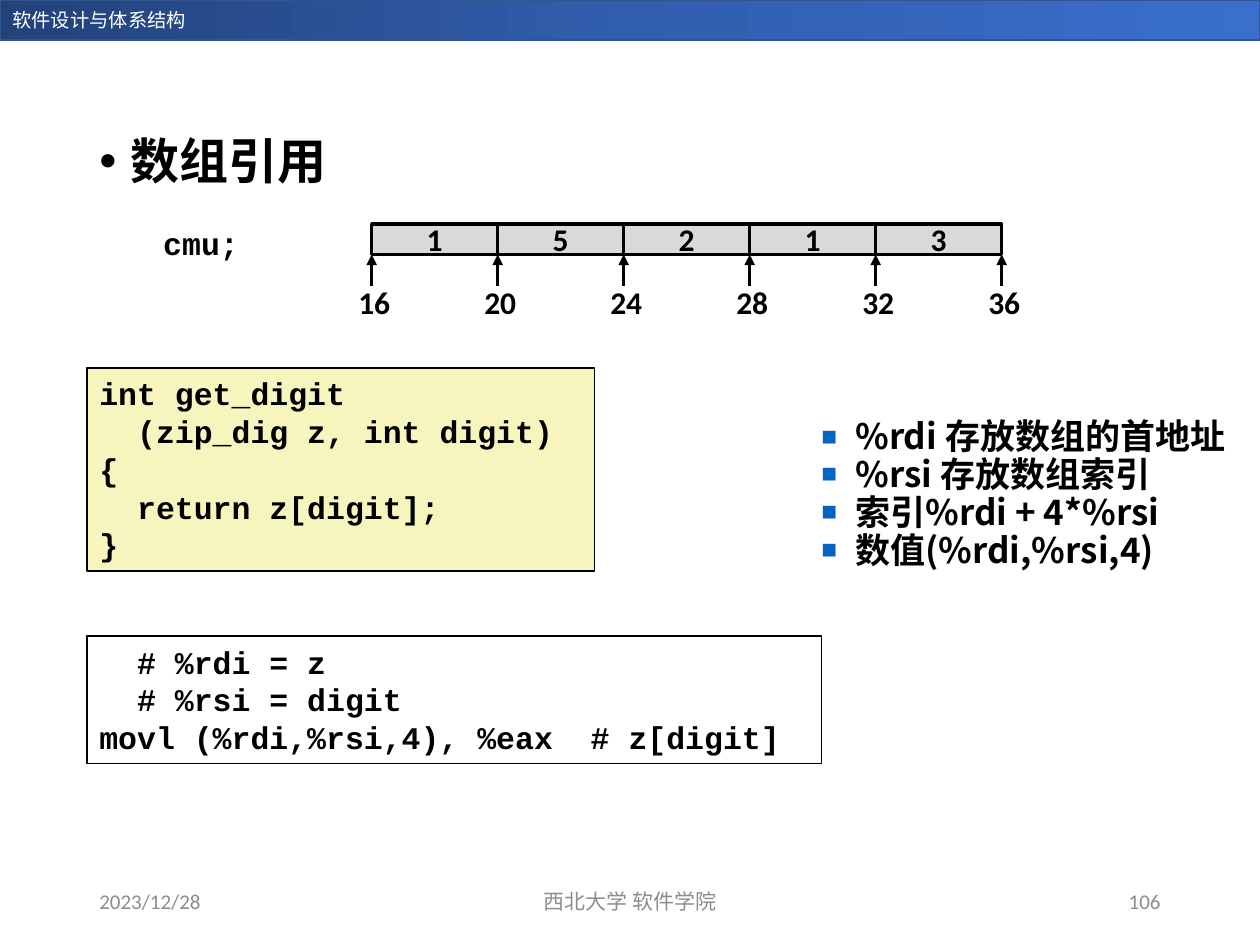
from copy import deepcopy

from pptx import Presentation
from pptx.dml.color import RGBColor
from pptx.enum.shapes import MSO_CONNECTOR as Connector, MSO_SHAPE as Shape
from pptx.enum.text import MSO_ANCHOR as Anchor, PP_ALIGN as Align
from pptx.oxml.ns import qn
from pptx.oxml.xmlchemy import OxmlElement
from pptx.util import Inches, Pt

COLORS = {
    "ink": "000000", "white": "FFFFFF", "muted": "8C8C8C", "bullet": "0563C1",
    "code": "F6F5BD", "cell": "D9D9D9", "header_line": "325491",
}
HEADER_STOPS = [(0, "23427A"), (0.5, "315EAD"), (1, "3A6FCE")]
HEADER = "软件设计与体系结构"
TITLE = "数组引用"
VARIABLE = "cmu;"
DIGITS = [1, 5, 2, 1, 3]
FIRST_ADDRESS, DIGIT_SIZE = 16, 4
C_CODE = [
    "int get_digit",
    "  (zip_dig z, int digit)",
    "{",
    "  return z[digit];",
    "}",
]
ASSEMBLY = [
    "  # %rdi = z",
    "  # %rsi = digit",
    "movl (%rdi,%rsi,4), %eax  # z[digit]",
]
NOTES = ["%rdi 存放数组的首地址", "%rsi 存放数组索引", "索引%rdi + 4*%rsi", "数值(%rdi,%rsi,4)"]
# text, left column, columns wide, alignment
FOOTERS = [
    ("2023/12/28", 0.69, 2.25, Align.LEFT),
    ("西北大学 软件学院", 3.31, 3.38, Align.CENTER),
    ("106", 7.06, 2.25, Align.RIGHT),
]

SANS, MONO, CJK = "Calibri", "Courier New", "Noto Sans CJK SC"
COLUMNS, ROWS = 10, 7.5
MARGIN = 0.69
ARRAY_LEFT, ARRAY_TOP, CELL_WIDTH, CELL_HEIGHT = 2.95, 1.78, 1, 0.24
ARROW_LENGTH, LABEL_WIDTH, LABEL_HEIGHT = 0.25, 1.08, 0.4

deck = Presentation()
deck.slide_width, deck.slide_height = Inches(10), Inches(7.5)
page = deck.slides.add_slide(deck.slide_layouts[6])


def place(left, top, width, height):
    """Turn grid columns and rows into slide lengths."""
    column, row = deck.slide_width / COLUMNS, deck.slide_height / ROWS
    return [round(n) for n in (left * column, top * row, width * column, height * row)]


def rgb(name):
    return RGBColor.from_string(COLORS[name])


def add_rectangle(shapes, at, fill=None, line="ink", weight=1):
    box = shapes.add_shape(Shape.RECTANGLE, *place(*at))
    box.shadow.inherit = False
    if fill:
        box.fill.solid()
        box.fill.fore_color.rgb = rgb(fill)
    else:
        box.fill.background()
    box.line.color.rgb = rgb(line)
    box.line.width = Pt(weight)
    return box


def add_bullet(para, char, indent, hanging, color=None, percent=100):
    properties = para._p.get_or_add_pPr()
    properties.set("marL", str(Inches(indent)))
    properties.set("indent", str(-Inches(hanging)))
    if color:
        tint = OxmlElement("a:buClr")
        value = OxmlElement("a:srgbClr")
        value.set("val", COLORS[color])
        tint.append(value)
        properties.append(tint)
    for tag, key, setting in (
        ("a:buSzPct", "val", str(percent * 1000)),
        ("a:buFont", "typeface", "Arial"),
        ("a:buChar", "char", char),
    ):
        part = OxmlElement(tag)
        part.set(key, setting)
        properties.append(part)


def write(box, lines, size, font=SANS, color="ink", bold=True, align=Align.LEFT,
          anchor=Anchor.TOP, wrap=True, spacing=None, bullet=None):
    frame = box.text_frame
    frame.word_wrap = wrap
    frame.vertical_anchor = anchor
    for number, line in enumerate(lines):
        para = frame.add_paragraph() if number else frame.paragraphs[0]
        para.alignment = align
        if spacing:
            para.line_spacing = spacing
        if bullet:
            add_bullet(para, **bullet)
        span = para.add_run()
        span.text = line
        span.font.name, span.font.size, span.font.bold = font, Pt(size), bold
        span.font.color.rgb = rgb(color)
        if font == CJK:
            east_asian = OxmlElement("a:ea")
            east_asian.set("typeface", font)
            span.font._element.find(qn("a:latin")).addnext(east_asian)


def add_text(shapes, at, lines, size, **style):
    write(shapes.add_textbox(*place(*at)), lines, size, **style)


def add_arrow(shapes, x, tail, tip):
    start_x, start_y, end_x, end_y = place(x, tail, x, tip)
    arrow = shapes.add_connector(Connector.STRAIGHT, start_x, start_y, end_x, end_y)
    arrow.line.color.rgb = rgb("ink")
    arrow.line.width = Pt(2)
    head = OxmlElement("a:tailEnd")
    head.set("type", "triangle")
    arrow.line._get_or_add_ln().append(head)
    arrow._element.spPr.append(OxmlElement("a:effectLst"))


def add_header():
    band = add_rectangle(page.shapes, (0, 0, COLUMNS, 0.32), line="header_line")
    band.fill.gradient()
    band.fill.gradient_angle = 0
    stop_list = band._element.spPr.find(qn("a:gradFill")).find(qn("a:gsLst"))
    stop_list.insert(1, deepcopy(stop_list[0]))
    for stop, (position, color) in zip(band.fill.gradient_stops, HEADER_STOPS):
        stop.position = position
        stop.color.rgb = RGBColor.from_string(color)
    add_text(page.shapes, (0, 0.02, 2.49, 0.29), [HEADER], 11, color="white", bold=False)


def add_array():
    """Draw the cells, then an arrow and an address at every cell edge."""
    shapes = page.shapes.add_group_shape().shapes
    bottom = ARRAY_TOP + CELL_HEIGHT
    edges = [ARRAY_LEFT + i * CELL_WIDTH for i in range(len(DIGITS) + 1)]
    for left, digit in zip(edges, DIGITS):
        cell = add_rectangle(shapes, (left, ARRAY_TOP, CELL_WIDTH, CELL_HEIGHT), "cell", weight=2)
        write(cell, [str(digit)], 18, align=Align.CENTER, anchor=Anchor.MIDDLE, wrap=False)
    for i, edge in enumerate(edges):
        add_arrow(shapes, edge, bottom + ARROW_LENGTH, bottom)
        label_left = edge + 0.02 - LABEL_WIDTH / 2
        add_text(shapes, (label_left, 2.2, LABEL_WIDTH, LABEL_HEIGHT),
                 [str(FIRST_ADDRESS + i * DIGIT_SIZE)], 18, align=Align.CENTER)


add_header()
add_text(page.shapes, (MARGIN, 1.04, 8.62, 0.65), [TITLE], 28, font=CJK, spacing=0.9,
         bullet={"char": "•", "indent": 0.25, "hanging": 0.25})
for text, left, width, align in FOOTERS:
    add_text(page.shapes, (left, 6.95, width, 0.4), [text], 12, color="muted",
             bold=False, align=align, anchor=Anchor.MIDDLE)
for lines, top, width, height, fill in (
    (C_CODE, 2.92, 4.03, 1.61, "code"),
    (ASSEMBLY, 5.05, 5.83, 1.01, None),
):
    listing = add_rectangle(page.shapes, (MARGIN, top, width, height), fill)
    write(listing, lines, 18, font=MONO, spacing=Pt(21.6))
add_text(page.shapes, (0.54, 1.73, 2.11, 0.4), [VARIABLE], 18, font=MONO, align=Align.CENTER)
add_array()
add_text(page.shapes, (6.25, 3.28, 3.75, 3.26), NOTES, 20, font=CJK, spacing=0.9,
         bullet={"char": "■", "indent": 0.44, "hanging": 0.27, "color": "bullet", "percent": 75})
deck.save("out.pptx")
